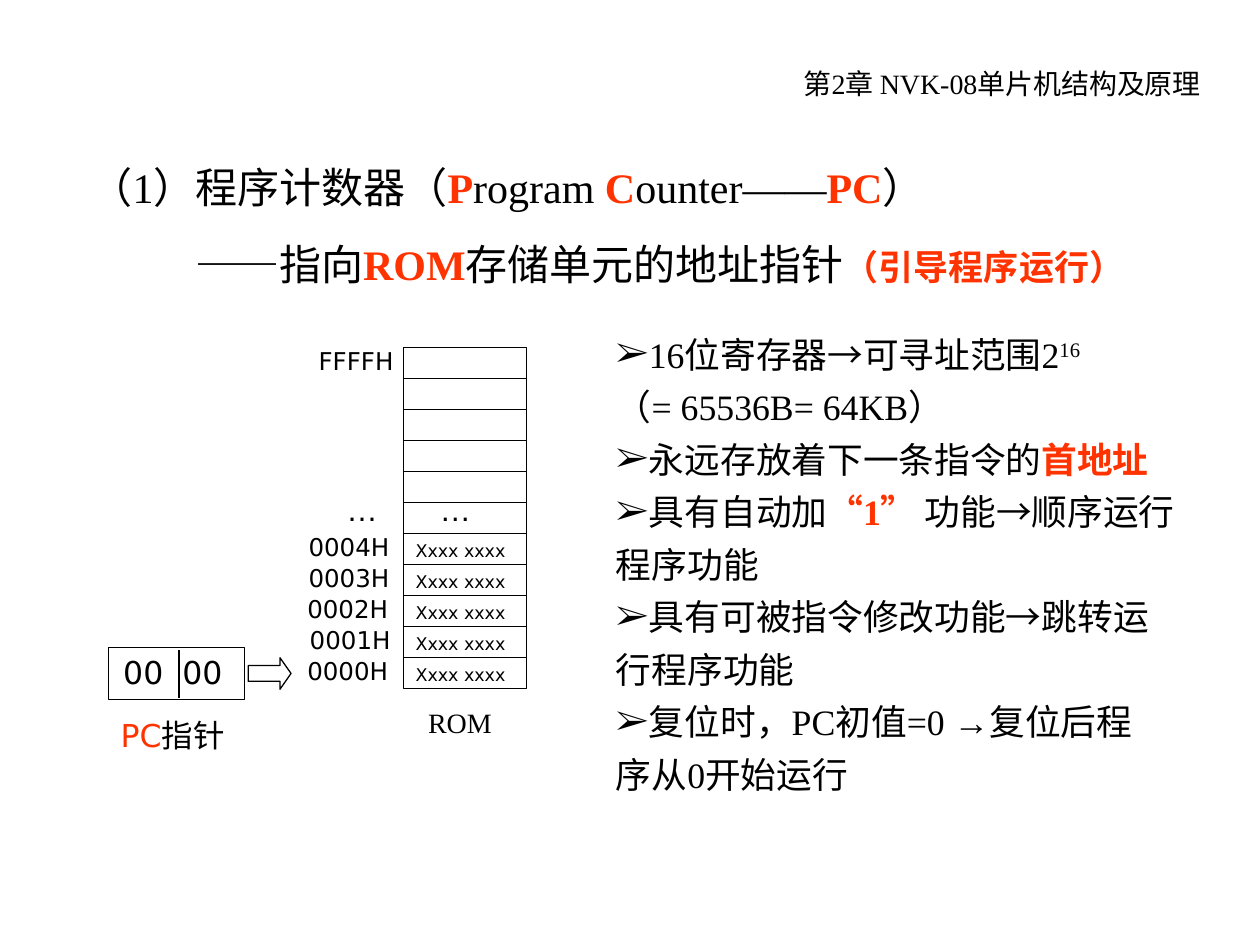
"""Build the program counter slide: headings, ROM map, PC pointer and key points."""
import pptx
import pptx.util
import pptx.dml.color
import pptx.enum.shapes
import pptx.enum.text
from lxml import etree

HUE = {"ink": "000000", "hot": "FF3300"}
FACE = {"serif": "Times New Roman", "sans": "DejaVu Sans", "dots": "Arial"}
HOT = {"color": "hot", "bold": True}

HEAD = [("第2章 NVK-08单片机结构及原理", {})]
TITLE = [("（1）程序计数器（", {}), ("P", HOT), ("rogram ", {}), ("C", HOT),
         ("ounter——", {}), ("PC", HOT), ("）", {})]
LEAD = [("——指向", {}), ("ROM", HOT), ("存储单元的地址指针", {}),
        ("（引导程序运行）", {"color": "hot", "bold": True, "size": 20})]
POINTS = [
    (True, [("16位寄存器→可寻址范围2", {}), ("16", {"raise": 30})]),
    (False, [("（= 65536B= 64KB）", {})]),
    (True, [("永远存放着下一条指令的", {}), ("首地址", HOT)]),
    (True, [("具有自动加", {}), ("“1” ", HOT), ("功能→顺序运行", {})]),
    (False, [("程序功能", {})]),
    (True, [("具有可被指令修改功能→跳转运", {})]),
    (False, [("行程序功能", {})]),
    (True, [("复位时，PC初值=0 →复位后程", {})]),
    (False, [("序从0开始运行", {})]),
]
CELLS = 11
ADDRESS = {0: ("FFFFH", 24.3), 6: ("0004H", 23.5), 7: ("0003H", 23.5),
           8: ("0002H", 23.4), 9: ("0001H", 23.6), 10: ("0000H", 23.4)}
ROM = {"left": 32, "top": 27.6, "wide": 9.8, "high": 2.46}

deck = pptx.Presentation()
deck.slide_width = pptx.util.Inches(10)
deck.slide_height = pptx.util.Inches(7.5)
UNIT = deck.slide_width / 100
slide = deck.slides.add_slide(deck.slide_layouts[6])
Pt = pptx.util.Pt


def grid(*cells):
    return [round(cell * UNIT) for cell in cells]


def tint(name):
    return pptx.dml.color.RGBColor.from_string(HUE[name])


def child(node, tag, **attrs):
    return etree.SubElement(node, pptx.oxml.ns.qn(tag), attrs)


def write(para, runs, size, face):
    for text, style in runs:
        run = para.add_run()
        run.text = text
        form = {"size": Pt(style.get("size", size)), "name": FACE[face],
                "bold": style.get("bold", False)}
        for key, value in form.items():
            setattr(run.font, key, value)
        run.font.color.rgb = tint(style.get("color", "ink"))
        if "raise" in style:
            run.font._element.set("baseline", str(style["raise"] * 1000))


def label(area, runs, size, face="serif", **form):
    frame = slide.shapes.add_textbox(*grid(*area)).text_frame
    frame.word_wrap = True
    para = frame.paragraphs[0]
    for key, value in form.items():
        setattr(frame if key == "vertical_anchor" else para, key, value)
    write(para, runs, size, face)
    return para


def outline(kind, area):
    shape = slide.shapes.add_shape(kind, *grid(*area))
    shape.shadow.inherit = False
    shape.fill.background()
    shape.line.color.rgb = tint("ink")
    shape.line.width = Pt(0.75)
    return shape


def memory():
    left, wide, high = ROM["left"], ROM["wide"], ROM["high"]
    for row in range(CELLS):
        top = ROM["top"] + row * high
        outline(pptx.enum.shapes.MSO_SHAPE.RECTANGLE, (left, top, wide, high))
        if row in ADDRESS:
            text, start = ADDRESS[row]
            label((start, top - 0.6, 8.9, 3.4), [(text, {})], 14, "sans")
        if row > 5:
            label((left, top, wide, 2.7), [("Xxxx xxxx", {})], 10, "sans")
    for start in (26.5, 33.9):
        label((start, 38.4, 8.9, 4), [("…", {})], 18, "dots")
    label((33, 55.5, 8, 3.7), [("ROM", {})], 16)


def pointer():
    kinds = pptx.enum.shapes.MSO_SHAPE
    outline(kinds.RECTANGLE, (8.6, 51.4, 10.8, 4.1))
    arrow = outline(kinds.RIGHT_ARROW, (19.7, 52.2, 3.4, 2.5))
    arrow.adjustments[1] = 0.35
    label((8.6, 56.3, 10.8, 4), [("PC", {"color": "hot"}), ("指针", {})], 18, "sans")
    para = label((8.8, 51.3, 11.7, 4), [("00\t00", {})], 18, "sans")
    tabs = child(para._p.get_or_add_pPr(), "a:tabLst")
    child(tabs, "a:tab", pos=str(grid(4.7)[0]), algn="l")
    x, top, end = grid(14.2, 51.6, 55.4)
    bar = slide.shapes.add_connector(pptx.enum.shapes.MSO_CONNECTOR.STRAIGHT, x, top, x, end)
    bar.line.color.rgb = tint("ink")
    bar.line.width = Pt(0.75)
    child(bar._element.spPr, "a:effectLst")


def points():
    frame = slide.shapes.add_textbox(*grid(43, 25.9, 53.2, 39.7)).text_frame
    frame.word_wrap = True
    for rank, (mark, runs) in enumerate(POINTS):
        para = frame.add_paragraph() if rank else frame.paragraphs[0]
        if rank:
            para.space_before = Pt(5.5)
        props = para._p.get_or_add_pPr()
        for key, value in zip(("marL", "indent"), grid(2, 2.9)):
            props.set(key, str(value))
        if mark:
            child(child(props, "a:buClr"), "a:srgbClr", val=HUE["ink"])
            child(props, "a:buFont", typeface=FACE["serif"])
            child(props, "a:buChar", char="➢")
        else:
            child(props, "a:buNone")
        write(para, runs, 20.4, "serif")


label((58.7, 4.8, 37.6, 5), HEAD, 16, alignment=pptx.enum.text.PP_ALIGN.RIGHT)
label((6.2, 11.2, 80.9, 7.3), TITLE, 24, vertical_anchor=pptx.enum.text.MSO_ANCHOR.MIDDLE)
label((14.5, 18.9, 82.1, 5.6), LEAD, 24, line_spacing=0.9)
memory()
pointer()
points()
deck.save("out.pptx")
